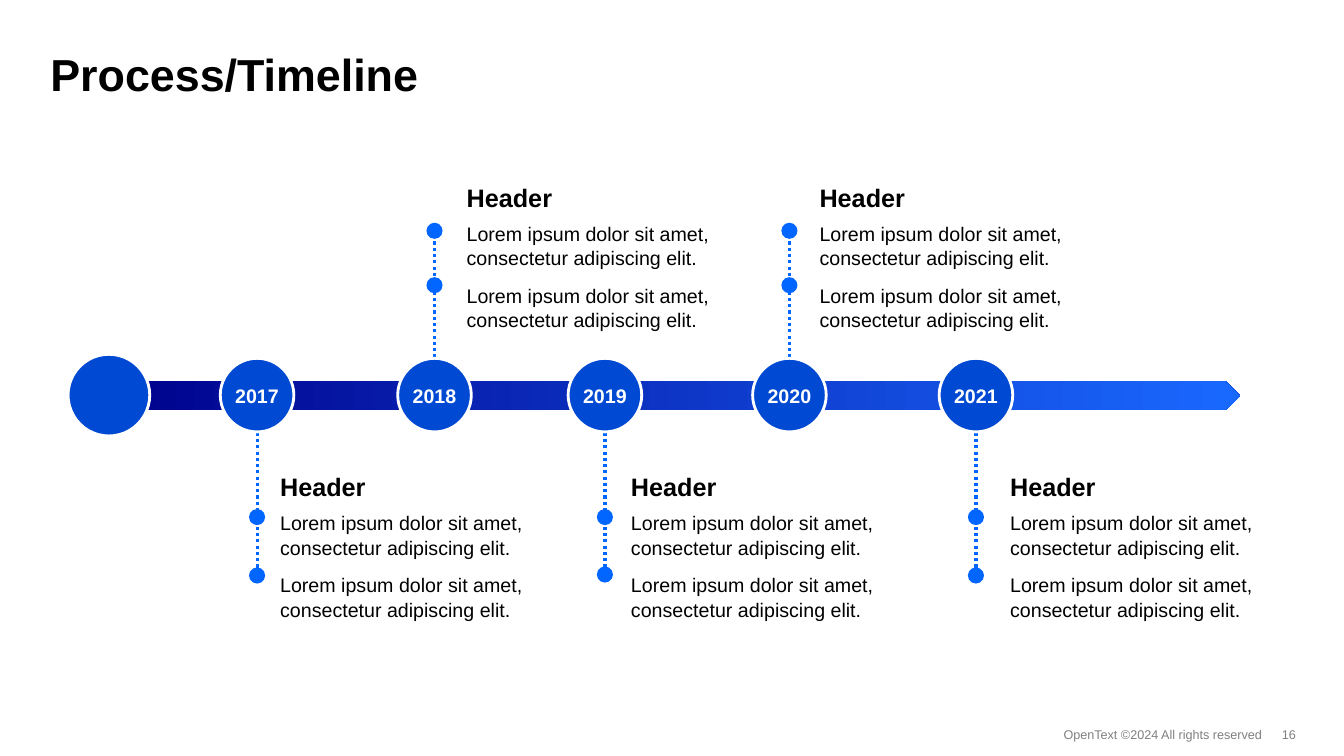
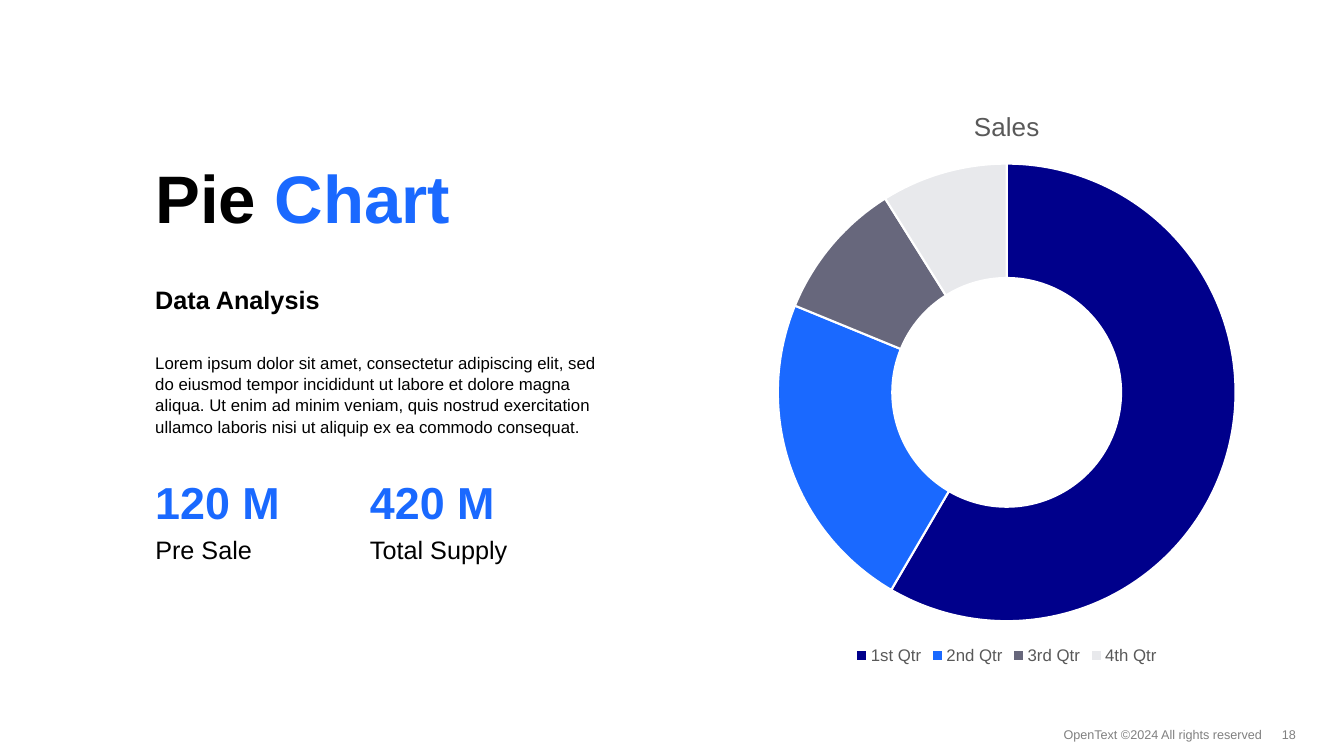
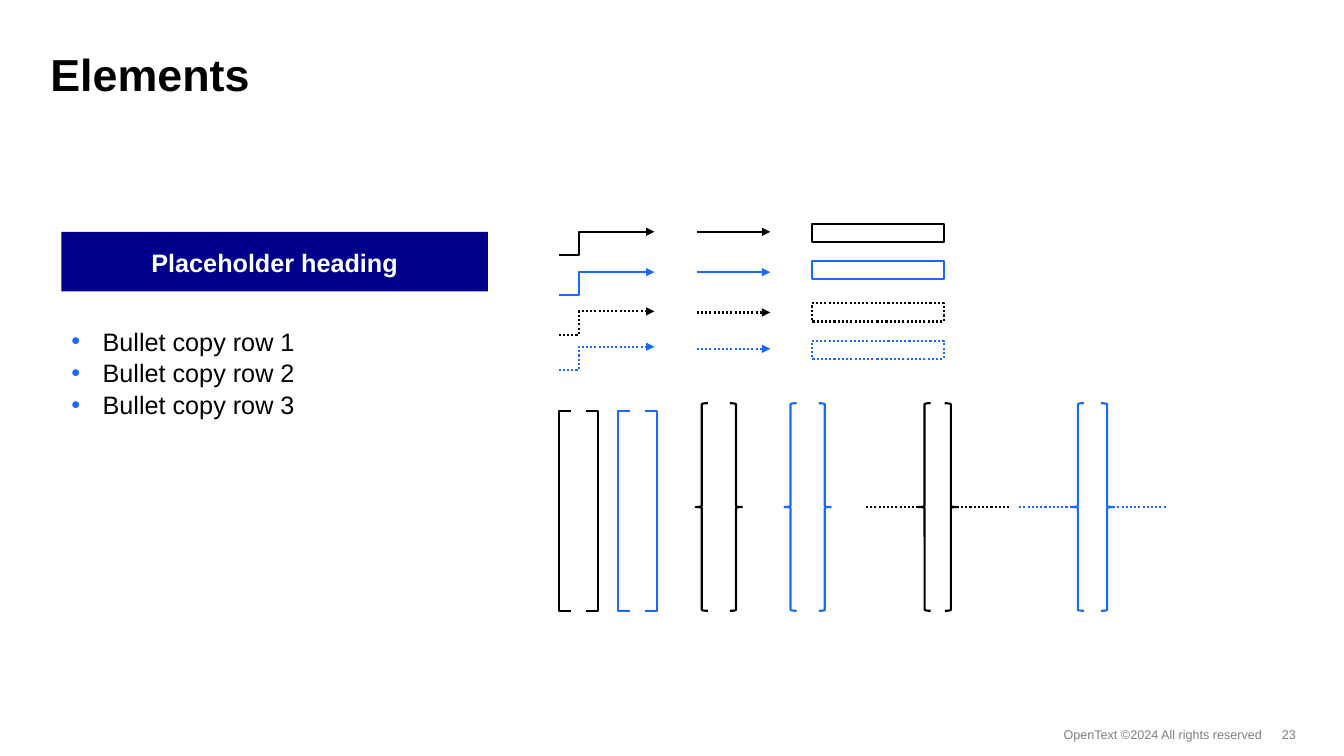
"""Build three slides: a timeline, a doughnut chart and a set of drawing elements."""
from dataclasses import dataclass

from lxml import etree
from pptx import Presentation
from pptx import util as u
from pptx.chart import data as cd
from pptx.dml import color as dc
from pptx.enum import chart as ec, dml, shapes, text
from pptx.oxml import ns

COLORS = {
    "black": "000000", "white": "FFFFFF", "grey": "808080", "navy": "00008B",
    "blue": "1A69FF", "dot": "0066FF", "year": "0049D3", "slate": "67677C",
    "pale": "E8E9EC", "label": "595959",
}
FONT = "Arial"
LOREM = "Lorem ipsum dolor sit amet, consectetur adipiscing elit."
AXIS_Y = 3.92
STROKE = 1.5
NO_INSET = (0, 0, 0, 0)
INSET = (0.1, 0.05, 0.1, 0.05)
ALIGN = text.PP_ALIGN
ANCHOR = text.MSO_ANCHOR
SHAPE = shapes.MSO_SHAPE
LINK = shapes.MSO_CONNECTOR


@dataclass(frozen=True)
class Milestone:
    year: str
    x: float
    text_x: float
    text_y: float
    line_end: float
    dots: tuple[float, float]


@dataclass(frozen=True)
class Stat:
    x: float
    value: str
    label: str
    width: float


@dataclass(frozen=True)
class LineRow:
    color: str
    dotted: bool
    elbow_y: float
    arrow_y: float
    box_y: float


@dataclass(frozen=True)
class BracePair:
    color: str
    left: float
    right: float
    tails: bool


MILESTONES = (
    Milestone("2017", 2.55, 2.68, 4.61, 5.68, (5.05, 5.63)),
    Milestone("2018", 4.31, 4.53, 1.74, 2.22, (2.21, 2.75)),
    Milestone("2019", 6.0, 6.16, 4.61, 5.72, (5.05, 5.62)),
    Milestone("2020", 7.83, 8.03, 1.74, 2.23, (2.21, 2.75)),
    Milestone("2021", 9.68, 9.92, 4.61, 5.72, (5.05, 5.63)),
)
STATS = (
    Stat(1.54, "120 M", "Pre Sale", 1.22),
    Stat(3.67, "420 M", "Total Supply", 1.63),
)
SALES = (
    ("1st Qtr", 59, "navy"), ("2nd Qtr", 23, "blue"),
    ("3rd Qtr", 10, "slate"), ("4th Qtr", 9, "pale"),
)
LINE_ROWS = (
    LineRow("black", False, 2.3, 2.3, 2.22),
    LineRow("blue", False, 2.7, 2.7, 2.59),
    LineRow("black", True, 3.09, 3.1, 3.01),
    LineRow("blue", True, 3.44, 3.46, 3.38),
)
BRACKET_PAIRS = (("black", 5.54), ("blue", 6.13))
BRACE_PAIRS = (
    BracePair("black", 6.9, 7.24, False),
    BracePair("blue", 7.78, 8.12, False),
    BracePair("black", 9.11, 9.37, True),
    BracePair("blue", 10.63, 10.92, True),
)


def rgb(name: str) -> dc.RGBColor:
    return dc.RGBColor.from_string(COLORS[name])


def inches(*values: float) -> list[u.Length]:
    return [u.Inches(v) for v in values]


def add_bullet(p, color: str, indent: float = 0.31) -> None:
    pPr = p._p.get_or_add_pPr()
    pPr.set("marL", str(u.Inches(indent)))
    pPr.set("indent", str(-u.Inches(indent)))
    clr = etree.SubElement(pPr, ns.qn("a:buClr"))
    etree.SubElement(clr, ns.qn("a:srgbClr"), val=COLORS[color])
    etree.SubElement(pPr, ns.qn("a:buFont"), typeface=FONT)
    etree.SubElement(pPr, ns.qn("a:buChar"), char="•")


def add_text(tf, content: str, *, size: float, color: str = "black", bold: bool = False,
             align=ALIGN.LEFT, before: float = 0, bullet: str = "", same_line: bool = False) -> None:
    p = tf.paragraphs[-1]
    if not same_line:
        if p.runs:
            p = tf.add_paragraph()
        if bullet:
            add_bullet(p, bullet)
        p.alignment = align
        p.line_spacing = 1.05
        p.space_before = u.Pt(before)
    r = p.add_run()
    r.text = content
    r.font.name = FONT
    r.font.size = u.Pt(size)
    r.font.bold = bold
    r.font.color.rgb = rgb(color)


def set_frame(tf, inset=INSET, anchor=ANCHOR.TOP, wrap: bool = True, grow: bool = False):
    tf.margin_left, tf.margin_top, tf.margin_right, tf.margin_bottom = inches(*inset)
    tf.vertical_anchor = anchor
    tf.word_wrap = wrap
    tf.auto_size = text.MSO_AUTO_SIZE.SHAPE_TO_FIT_TEXT if grow else text.MSO_AUTO_SIZE.NONE
    return tf


def add_box(slide, x: float, y: float, w: float, h: float, **frame):
    return set_frame(slide.shapes.add_textbox(*inches(x, y, w, h)).text_frame, **frame)


def set_line(line, color: str, width: float, dotted: bool = False) -> None:
    line.color.rgb = rgb(color)
    line.width = u.Pt(width)
    if dotted:
        line.dash_style = dml.MSO_LINE.ROUND_DOT


def add_shape(slide, kind, x: float, y: float, w: float, h: float, *, fill: str = "",
              line: str = "", width: float = STROKE, dotted: bool = False):
    sp = slide.shapes.add_shape(kind, *inches(x, y, w, h))
    sp.shadow.inherit = False
    if fill:
        sp.fill.solid()
        sp.fill.fore_color.rgb = rgb(fill)
    else:
        sp.fill.background()
    if line:
        set_line(sp.line, line, width, dotted)
    else:
        sp.line.fill.background()
    return sp


def add_line(slide, x1: float, y1: float, x2: float, y2: float, *, color: str,
             width: float = STROKE, dotted: bool = False, arrow: bool = False, kind=LINK.STRAIGHT):
    cx = slide.shapes.add_connector(kind, *inches(x1, y1, x2, y2))
    set_line(cx.line, color, width, dotted)
    if arrow:
        etree.SubElement(cx.line._get_or_add_ln(), ns.qn("a:tailEnd"), type="triangle")
    etree.SubElement(cx._element.spPr, ns.qn("a:effectLst"))
    return cx


def add_slide(prs, number: int, title: str = ""):
    slide = prs.slides.add_slide(prs.slide_layouts[6])
    tf = add_box(slide, 12.44, 7.15, 0.51, 0.25, grow=True)
    add_text(tf, str(number), size=9, color="grey", align=ALIGN.RIGHT)
    tf = add_box(slide, 10.45, 7.15, 2.24, 0.25, wrap=False, grow=True)
    add_text(tf, "OpenText ©2024 All rights reserved", size=9, color="grey")
    if title:
        tf = add_box(slide, 0.5, 0.17, 12.33, 1.06, inset=(0, 0.08, 0.1, 0.05), anchor=ANCHOR.MIDDLE)
        add_text(tf, title, size=32, bold=True)
    return slide


def add_circle(slide, x: float, y: float, d: float, **style):
    return add_shape(slide, SHAPE.OVAL, x - d / 2, y - d / 2, d, d, **style)


def add_milestone(slide, m: Milestone) -> None:
    add_line(slide, m.x, AXIS_Y, m.x, m.line_end, color="dot", width=2.25, dotted=True)
    for y in m.dots:
        add_circle(slide, m.x, y + 0.08, 0.16, fill="dot")
    sp = add_circle(slide, m.x, AXIS_Y, 0.73, fill="year", line="white", width=2)
    tf = set_frame(sp.text_frame, inset=NO_INSET, anchor=ANCHOR.MIDDLE)
    add_text(tf, m.year, size=14, color="white", bold=True, align=ALIGN.CENTER)
    tf = add_box(slide, m.text_x, m.text_y, 2.69, 1.41)
    add_text(tf, "Header", size=18, bold=True)
    for before in (6, 9):
        add_text(tf, LOREM, size=14, before=before)


def build_timeline(prs) -> None:
    slide = add_slide(prs, 16, "Process/Timeline")
    bar = add_shape(slide, SHAPE.PENTAGON, 0.96, 3.78, 11.34, 0.29)
    bar.fill.gradient()
    bar.fill.gradient_angle = 0
    for stop, color in zip(bar.fill.gradient_stops, ("navy", "blue")):
        stop.color.rgb = rgb(color)
    add_circle(slide, 1.08, AXIS_Y, 0.81, fill="year", line="white", width=2)
    for m in MILESTONES:
        add_milestone(slide, m)


def add_sales_chart(slide) -> None:
    data = cd.CategoryChartData()
    data.categories = [name for name, _, _ in SALES]
    data.add_series("Sales", [value for _, value, _ in SALES])
    frame = slide.shapes.add_chart(ec.XL_CHART_TYPE.DOUGHNUT, *inches(5.66, 0.87, 8.65, 5.76), data)
    chart = frame.chart
    chart.font.name = FONT
    chart.font.size = u.Pt(10)
    chart.has_title = True
    add_text(chart.chart_title.text_frame, "Sales", size=18.6, color="label", align=ALIGN.CENTER)
    chart.has_legend = True
    chart.legend.position = ec.XL_LEGEND_POSITION.BOTTOM
    chart.legend.include_in_layout = False
    chart.legend.font.name = FONT
    chart.legend.font.size = u.Pt(12)
    chart.legend.font.color.rgb = rgb("label")
    plot = chart.plots[0]
    plot.vary_by_categories = True
    plot.has_data_labels = False
    for i, (_, _, color) in enumerate(SALES):
        fmt = plot.series[0].points[i].format
        fmt.fill.solid()
        fmt.fill.fore_color.rgb = rgb(color)
        set_line(fmt.line, "white", STROKE)


def build_pie_chart(prs) -> None:
    slide = add_slide(prs, 18)
    add_sales_chart(slide)
    frame = {"inset": NO_INSET, "grow": True}
    tf = add_box(slide, 1.54, 1.51, 4.85, 0.81, **frame)
    add_text(tf, "Pie ", size=48, bold=True)
    add_text(tf, "Chart", size=48, color="blue", bold=True, same_line=True)
    tf = add_box(slide, 1.54, 2.81, 1.73, 0.3, **frame)
    add_text(tf, "Data Analysis", size=18, bold=True)
    tf = add_box(slide, 1.54, 3.49, 4.47, 0.81, **frame)
    add_text(tf, "Lorem ipsum dolor sit amet, consectetur adipiscing elit, sed do eiusmod tempor "
                 "incididunt ut labore et dolore magna aliqua. Ut enim ad minim veniam, quis nostrud "
                 "exercitation ullamco laboris nisi ut aliquip ex ea commodo consequat.", size=12)
    for stat in STATS:
        tf = add_box(slide, stat.x, 4.68, 1.43, 0.54, **frame)
        add_text(tf, stat.value, size=32, color="blue", bold=True)
        tf = add_box(slide, stat.x, 5.29, stat.width, 0.3, **frame)
        add_text(tf, stat.label, size=18)


def add_line_row(slide, row: LineRow) -> None:
    style = {"color": row.color, "dotted": row.dotted}
    elbow = add_line(slide, 5.54, row.elbow_y + 0.23, 6.49, row.elbow_y,
                     arrow=True, kind=LINK.ELBOW, **style)
    guides = elbow._element.spPr.find(ns.qn("a:prstGeom")).find(ns.qn("a:avLst"))
    etree.SubElement(guides, ns.qn("a:gd"), name="adj1", fmla="val 21300")
    add_line(slide, 6.91, row.arrow_y, 7.64, row.arrow_y, arrow=True, **style)
    add_shape(slide, SHAPE.RECTANGLE, 8.05, row.box_y, 1.31, 0.18, line=row.color, dotted=row.dotted)


def add_brace_pair(slide, pair: BracePair) -> None:
    top, width, height, tail = 4, 0.12, 2.06, 0.52
    for x, rotation in ((pair.left, 0), (pair.right, 180)):
        brace = add_shape(slide, SHAPE.LEFT_BRACE, x, top, width, height, line=pair.color)
        brace.rotation = rotation
    if pair.tails:
        y = top + height / 2
        for x, reach in ((pair.left, -tail), (pair.right + width, tail)):
            add_line(slide, x, y, x + reach, y, color=pair.color, dotted=True)


def build_elements(prs) -> None:
    slide = add_slide(prs, 23, "Elements")
    sp = add_shape(slide, SHAPE.RECTANGLE, 0.61, 2.3, 4.23, 0.59, fill="navy")
    tf = set_frame(sp.text_frame, anchor=ANCHOR.MIDDLE)
    add_text(tf, "Placeholder heading", size=18, color="white", bold=True, align=ALIGN.CENTER)
    tf = add_box(slide, 0.61, 3.17, 3.28, 1.01, grow=True)
    for i in range(1, 4):
        add_text(tf, f"Bullet copy row {i}", size=18, bullet="blue")
    for row in LINE_ROWS:
        add_line_row(slide, row)
    for color, x in BRACKET_PAIRS:
        for kind, offset in ((SHAPE.LEFT_BRACKET, 0), (SHAPE.RIGHT_BRACKET, 0.27)):
            bracket = add_shape(slide, kind, x + offset, 4.08, 0.12, 1.98, line=color)
            bracket.adjustments[0] = 0
    for pair in BRACE_PAIRS:
        add_brace_pair(slide, pair)


def main() -> None:
    prs = Presentation()
    prs.slide_width, prs.slide_height = inches(13.33, 7.5)
    build_timeline(prs)
    build_pie_chart(prs)
    build_elements(prs)
    prs.save("out.pptx")


if __name__ == "__main__":
    main()
